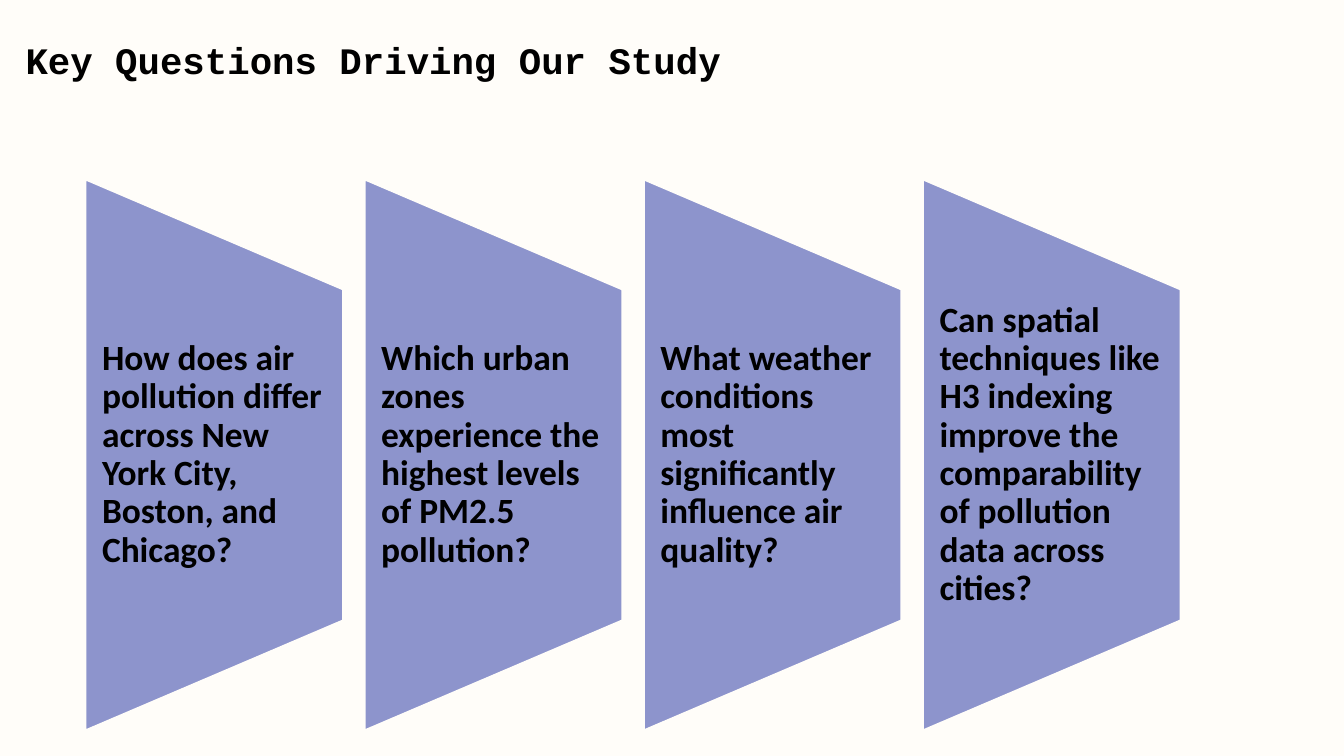
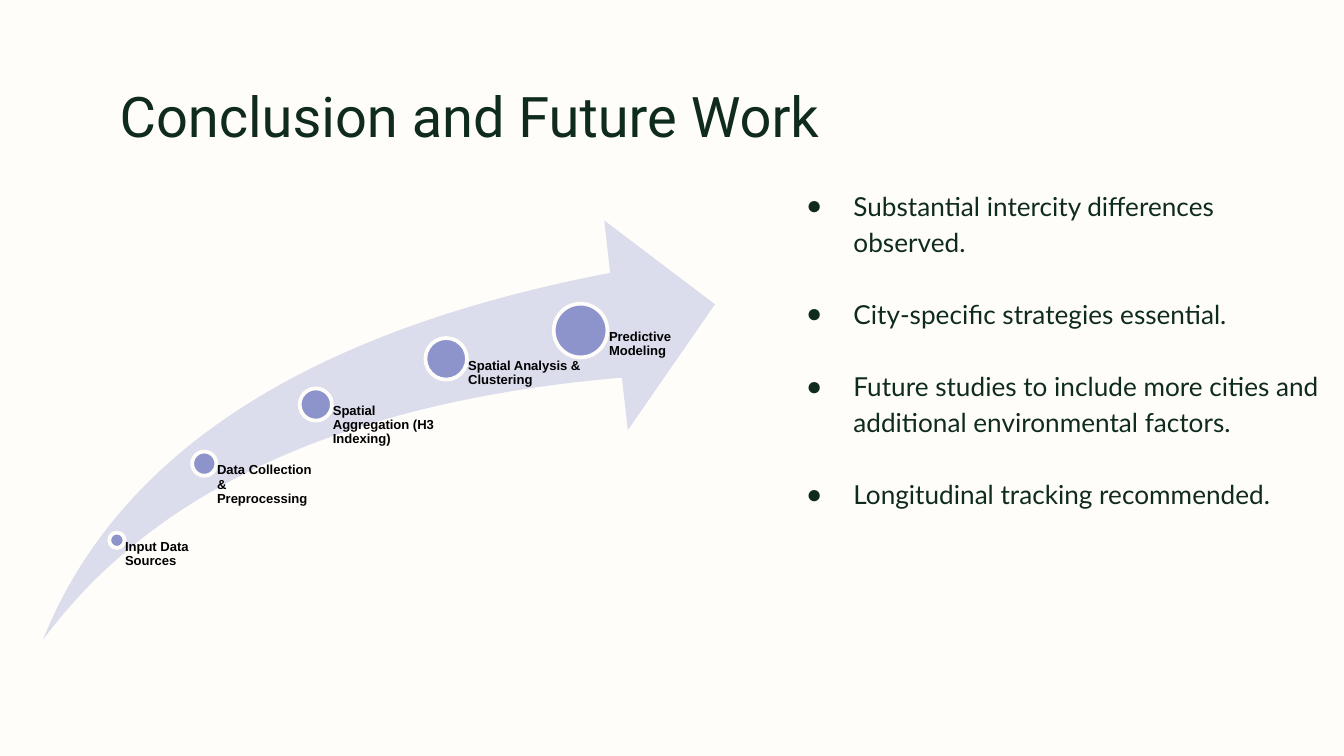
from dataclasses import dataclass

from lxml.etree import SubElement
from pptx import Presentation
from pptx.dml.color import RGBColor
from pptx.enum.shapes import MSO_SHAPE as Preset
from pptx.enum.text import MSO_ANCHOR as Anchor, MSO_AUTO_SIZE as AutoSize, PP_ALIGN as Align
from pptx.oxml.ns import qn
from pptx.util import Inches, Pt

COLUMNS, ROWS = 100, 56.25
CELL = Inches(0.1)

CREAM = RGBColor(0xFF, 0xFD, 0xF9)
PERIWINKLE = RGBColor(0x8D, 0x94, 0xCC)
PALE_LILAC = RGBColor(0xDB, 0xDC, 0xEC)
FOREST = RGBColor(0x0F, 0x2B, 0x1C)
BLACK = RGBColor(0, 0, 0)


@dataclass(frozen=True)
class Area:
    left: float
    top: float
    width: float
    height: float

    def lengths(self) -> tuple[int, ...]:
        return tuple(cells(n) for n in (self.left, self.top, self.width, self.height))


@dataclass(frozen=True)
class TextStyle:
    font: str
    size: float
    color: RGBColor
    bold: bool = False
    line_spacing: float = 1.0


@dataclass(frozen=True)
class Milestone:
    label: str
    x: float
    y: float
    diameter: float
    label_width: float


QUESTION_TITLE = TextStyle("Courier New", 20, BLACK, bold=True)
CONCLUSION_TITLE = TextStyle("Roboto", 30, FOREST)
QUESTION_TEXT = TextStyle("Calibri", 19, BLACK, bold=True, line_spacing=0.9)
MILESTONE_TEXT = TextStyle("Arial", 7, BLACK, bold=True, line_spacing=0.9)
FINDING_TEXT = TextStyle("Lato", 14, FOREST, line_spacing=1.15)

TITLE_WIDTH, TITLE_HEIGHT = 84.3, 6.9
FIRST_PANEL = Area(6.3, 13.25, 19.3, 41.2)
PANEL_PITCH = 20.77
PANEL_TEXT_SHARE = 0.6
SWOOSH = Area(3.2, 16.4, 50, 31.2)
FINDINGS_AREA = Area(57.5, 12.8, 42.5, 37.5)
FINDING_GAP = Pt(19.3)

QUESTIONS = [
    "How does air pollution differ across New York City, Boston, and Chicago?",
    "Which urban zones experience the highest levels of PM2.5 pollution?",
    "What weather conditions most significantly influence air quality?",
    "Can spatial techniques like H3 indexing improve the comparability of pollution data across cities?",
]

MILESTONES = [
    Milestone("Input Data Sources", 8.7, 40.2, 1.15, 6.6),
    Milestone("Data Collection & Preprocessing", 15.2, 34.5, 1.8, 8.3),
    Milestone("Spatial Aggregation (H3 Indexing)", 23.5, 30.1, 2.4, 9.6),
    Milestone("Spatial Analysis & Clustering", 33.2, 26.7, 3.1, 10),
    Milestone("Predictive Modeling", 43.2, 24.6, 4, 10),
]

FINDINGS = [
    "Substantial intercity differences observed.",
    "City-specific strategies essential.",
    "Future studies to include more cities and additional environmental factors.",
    "Longitudinal tracking recommended.",
]


def cells(count: float) -> int:
    return round(count * CELL)


def place(shape, area: Area) -> None:
    shape.left, shape.top, shape.width, shape.height = area.lengths()


def prepare_frame(frame, anchor, left: float, top: float, right: float, bottom: float) -> None:
    frame.word_wrap = True
    frame.auto_size = AutoSize.NONE
    frame.vertical_anchor = anchor
    frame.margin_left, frame.margin_top = cells(left), cells(top)
    frame.margin_right, frame.margin_bottom = cells(right), cells(bottom)


def write(para, text: str, style: TextStyle, space_before: int = 0) -> None:
    para.alignment = Align.LEFT
    para.line_spacing = style.line_spacing
    para.space_before = space_before
    span = para.add_run()
    span.text = text
    span.font.name = style.font
    span.font.size = Pt(style.size)
    span.font.bold = style.bold
    span.font.color.rgb = style.color


def add_bullet(para) -> None:
    properties = para._p.get_or_add_pPr()
    properties.set("marL", str(Inches(0.5)))
    properties.set("indent", str(-Inches(0.35)))
    color = SubElement(properties, qn("a:buClr"))
    SubElement(color, qn("a:srgbClr"), val=str(FOREST))
    SubElement(properties, qn("a:buChar"), char="●")


def add_title(page, text: str, left: float, top: float, style: TextStyle) -> None:
    title = page.shapes.title
    place(title, Area(left, top, TITLE_WIDTH, TITLE_HEIGHT))
    prepare_frame(title.text_frame, Anchor.TOP, 1, 1, 1, 1)
    write(title.text_frame.paragraphs[0], text, style)


def add_preset(page, preset, area: Area, fill: RGBColor, outlined: bool = True):
    shape = page.shapes.add_shape(preset, *area.lengths())
    shape.shadow.inherit = False
    shape.fill.solid()
    shape.fill.fore_color.rgb = fill
    if outlined:
        shape.line.color.rgb = CREAM
        shape.line.width = Pt(2)
    else:
        shape.line.fill.background()
    return shape


def add_label(page, text: str, area: Area, style: TextStyle, anchor, left: float, right: float = 0) -> None:
    box = page.shapes.add_textbox(*area.lengths())
    prepare_frame(box.text_frame, anchor, left, 0, right, 0)
    write(box.text_frame.paragraphs[0], text, style)


def add_question(page, index: int, question: str) -> None:
    panel = FIRST_PANEL
    left = panel.left + index * PANEL_PITCH
    center_x = left + panel.width / 2
    center_y = panel.top + panel.height / 2
    before_turn = Area(center_x - panel.height / 2, center_y - panel.width / 2, panel.height, panel.width)
    add_preset(page, Preset.FLOWCHART_MANUAL_OPERATION, before_turn, PERIWINKLE).rotation = 270
    text_height = panel.height * PANEL_TEXT_SHARE
    text_area = Area(left, center_y - text_height / 2, panel.width, text_height)
    add_label(page, question, text_area, QUESTION_TEXT, Anchor.MIDDLE, 1.3, 1.3)


def add_milestone(page, milestone: Milestone) -> None:
    radius = milestone.diameter / 2
    dot = Area(milestone.x - radius, milestone.y - radius, milestone.diameter, milestone.diameter)
    add_preset(page, Preset.OVAL, dot, PERIWINKLE)
    bottom = SWOOSH.top + SWOOSH.height
    label_area = Area(milestone.x, milestone.y, milestone.label_width, bottom - milestone.y)
    add_label(page, milestone.label, label_area, MILESTONE_TEXT, Anchor.TOP, milestone.diameter * 0.53)


def build_questions(deck) -> None:
    page = deck.slides.add_slide(deck.slide_layouts.get_by_name("Title Only"))
    add_title(page, "Key Questions Driving Our Study", 0.9, 1.8, QUESTION_TITLE)
    for index, question in enumerate(QUESTIONS):
        add_question(page, index, question)


def build_conclusion(deck) -> None:
    page = deck.slides.add_slide(deck.slide_layouts.get_by_name("Title and Content"))
    add_title(page, "Conclusion and Future Work", 7.9, 5.1, CONCLUSION_TITLE)
    body = page.placeholders[1]
    place(body, FINDINGS_AREA)
    frame = body.text_frame
    prepare_frame(frame, Anchor.TOP, 1, 1, 1, 1)
    for index, finding in enumerate(FINDINGS):
        para = frame.add_paragraph() if index else frame.paragraphs[0]
        add_bullet(para)
        write(para, finding, FINDING_TEXT, FINDING_GAP if index else 0)
    arrow = add_preset(page, Preset.SWOOSH_ARROW, SWOOSH, PALE_LILAC, outlined=False)
    arrow.adjustments[0] = arrow.adjustments[1] = 0.25
    for milestone in MILESTONES:
        add_milestone(page, milestone)


def main() -> None:
    deck = Presentation()
    deck.slide_width, deck.slide_height = cells(COLUMNS), cells(ROWS)
    background = deck.slide_master.background.fill
    background.solid()
    background.fore_color.rgb = CREAM
    build_questions(deck)
    build_conclusion(deck)
    deck.save("out.pptx")


if __name__ == "__main__":
    main()
